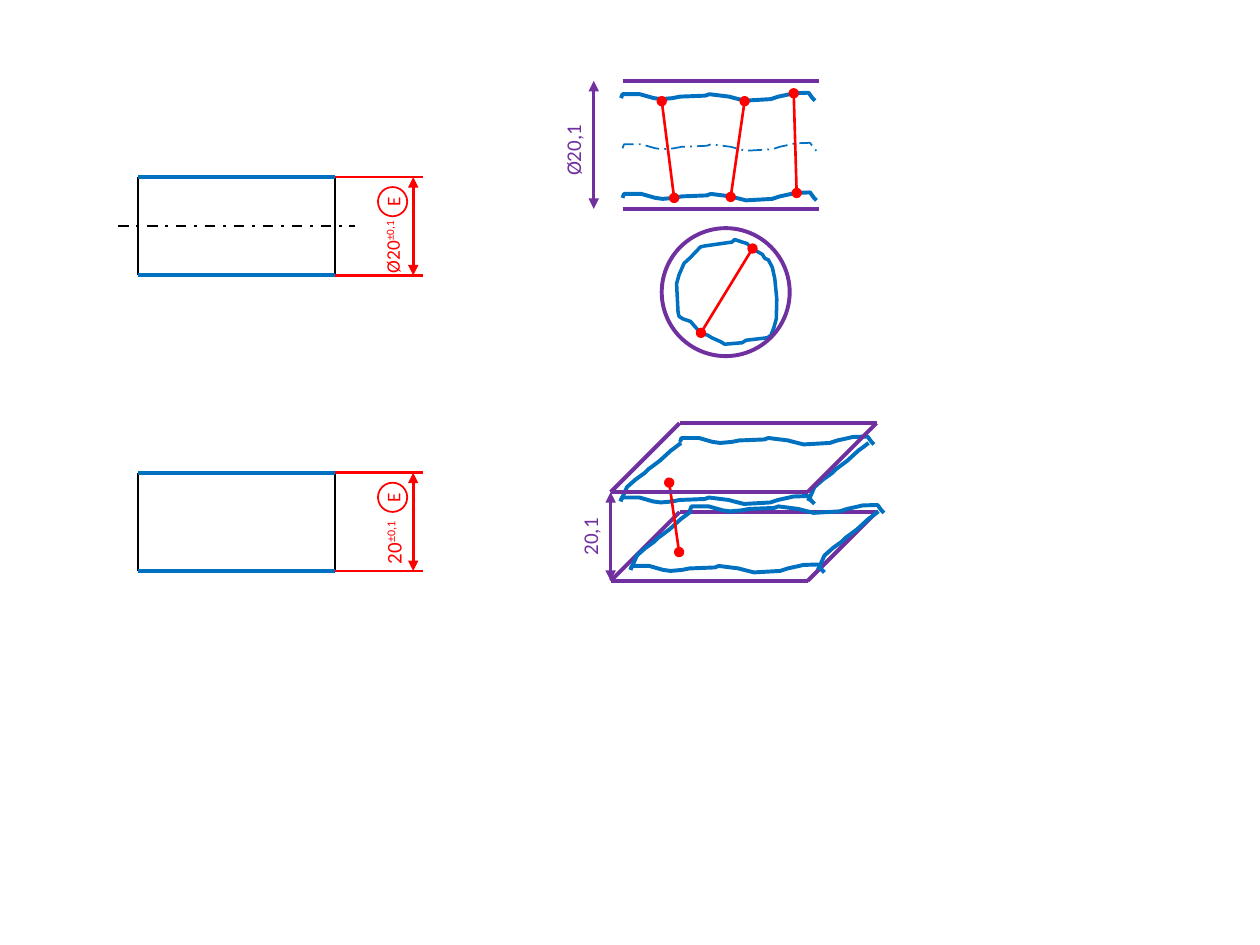
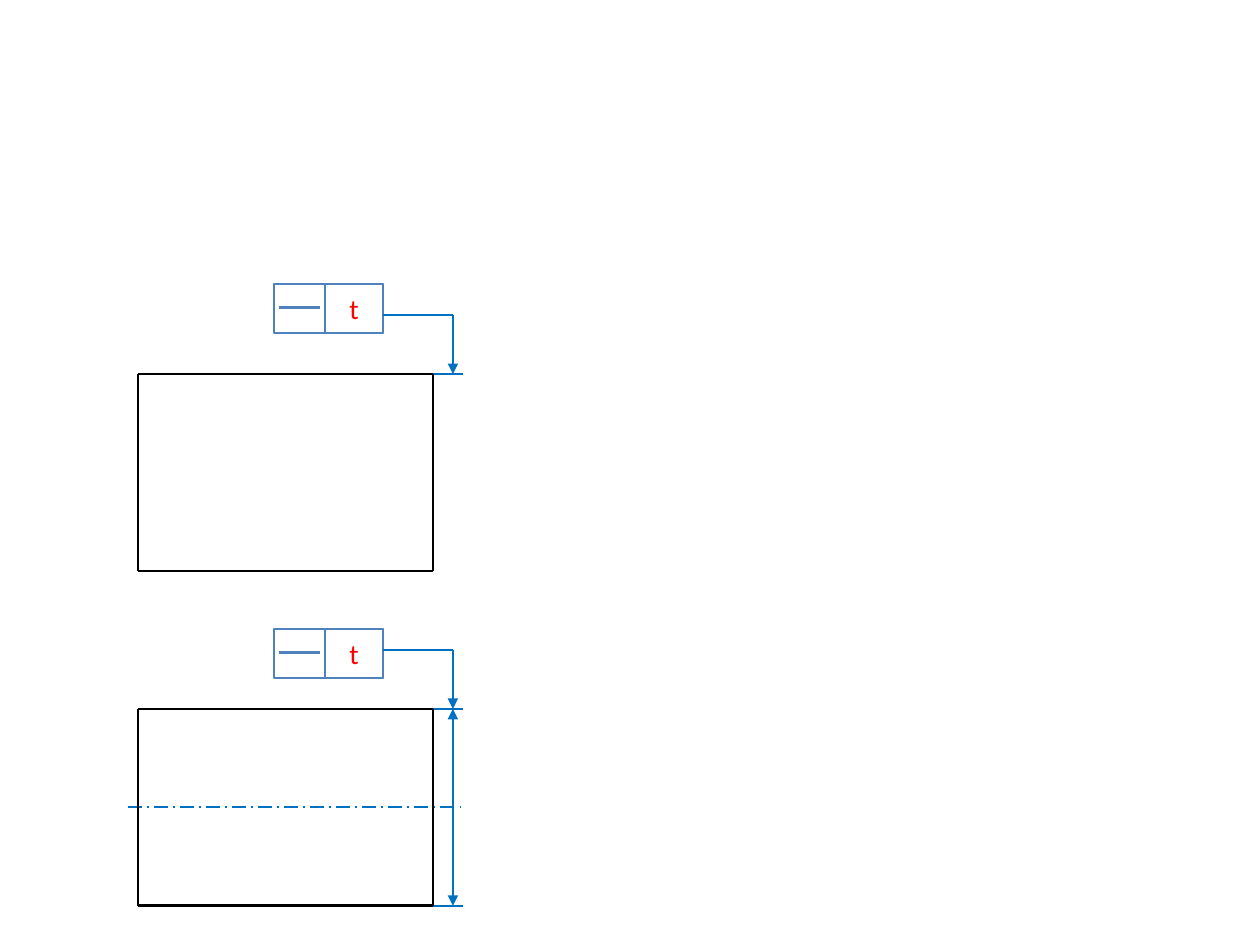
from lxml import etree
from pptx import Presentation
from pptx.dml.color import RGBColor
from pptx.enum.dml import MSO_LINE
from pptx.enum.shapes import MSO_CONNECTOR, MSO_SHAPE
from pptx.enum.text import MSO_ANCHOR, PP_ALIGN
from pptx.oxml.ns import qn
from pptx.util import Cm, Pt

STRAIGHT = MSO_CONNECTOR.STRAIGHT
OVAL, RECTANGLE = MSO_SHAPE.OVAL, MSO_SHAPE.RECTANGLE
DASH_DOT, LONG_DASH_DOT = MSO_LINE.DASH_DOT, MSO_LINE.LONG_DASH_DOT
CENTER, MIDDLE = PP_ALIGN.CENTER, MSO_ANCHOR.MIDDLE

BLACK = RGBColor(0x00, 0x00, 0x00)
RED = RGBColor(0xFF, 0x00, 0x00)
BLUE = RGBColor(0x00, 0x70, 0xC0)
PURPLE = RGBColor(0x70, 0x30, 0xA0)
FRAME_BLUE = RGBColor(0x4F, 0x81, 0xBD)
FONT = "Calibri"
THIN, MEDIUM, THICK = 1, 1.5, 2.25

# Rough contours in cm, relative to their own top left corner
WAVE = [(0, .18), (.03, .1), (.38, .1), (.66, .18), (.81, .2), (1.04, .18),
        (1.19, .15), (1.7, .13), (1.78, .1), (2.18, .15), (2.29, .18),
        (2.49, .23), (3.02, .2), (3.17, .15), (3.4, .1), (3.48, .08),
        (3.78, .07), (3.86, .18), (3.91, .23)]
SLOPE = [(0, 1.17), (.05, 1.07), (.13, .89), (.3, .74), (.48, .61),
         (.56, .53), (.63, .48), (.79, .36), (1.02, .15), (1.09, .1),
         (1.22, 0)]
RING = [(1.12, .05), (.56, .13), (.48, .15), (.28, .36), (.15, .48),
        (.05, .71), (0, .89), (.03, 1.47), (.05, 1.55), (.13, 1.6),
        (.28, 1.65), (.48, 1.88), (.63, 1.93), (.71, 1.98), (.89, 2.06),
        (.97, 2.11), (1.32, 2.08), (1.4, 2.03), (1.83, 1.98), (1.9, 1.93),
        (1.96, 1.78), (2.01, 1.6), (2.02, 1.2), (1.98, .79), (1.93, .56),
        (1.85, .41), (1.78, .38), (1.73, .3), (1.52, .18), (1.42, .08),
        (1.32, .05), (1.17, 0)]


def add_line(slide, start, end, color, width, ends=(None, None), dash=None):
    connector = slide.shapes.add_connector(
        STRAIGHT, Cm(start[0]), Cm(start[1]), Cm(end[0]), Cm(end[1]))
    connector.line.color.rgb = color
    connector.line.width = Pt(width)
    if dash:
        connector.line.dash_style = dash
    outline = connector.line._get_or_add_ln()
    for tag, kind in zip(("a:headEnd", "a:tailEnd"), ends):
        if kind:
            etree.SubElement(outline, qn(tag)).set("type", kind)
    etree.SubElement(connector._element.spPr, qn("a:effectLst"))


def add_dimension(slide, x, top, bottom, color, width):
    add_line(slide, (x, bottom), (x, top), color, width,
             ("triangle", "triangle"))


def add_probe(slide, left, top, start, end):
    """Two-point size: a red line with a dot at each end."""
    add_line(slide, (left + start[0], top + start[1]),
             (left + end[0], top + end[1]), RED, MEDIUM, ("oval", "oval"))


def style_outline(shape, color, width):
    shape.shadow.inherit = False
    shape.fill.background()
    shape.line.color.rgb = color
    shape.line.width = Pt(width)


def add_outline(slide, kind, left, top, width, height, color, line_width):
    shape = slide.shapes.add_shape(
        kind, Cm(left), Cm(top), Cm(width), Cm(height))
    style_outline(shape, color, line_width)
    return shape


def add_contour(slide, points, left, top, width=THICK, closed=False,
                dash=None):
    vertices = [(Cm(left + x), Cm(top + y)) for x, y in points]
    builder = slide.shapes.build_freeform(*vertices[0], scale=1.0)
    builder.add_line_segments(vertices[1:], close=closed)
    shape = builder.convert_to_shape()
    style_outline(shape, BLUE, width)
    if dash:
        shape.line.dash_style = dash


def write(shape, text, size, color, superscript=""):
    paragraph = shape.text_frame.paragraphs[0]
    paragraph.alignment = CENTER
    paragraph.font.name = FONT
    paragraph.font.size = Pt(size)
    paragraph.font.color.rgb = color
    paragraph.add_run().text = text
    if superscript:
        run = paragraph.add_run()
        run.text = superscript
        run._r.get_or_add_rPr().set("baseline", "30000")


def add_upright_text(slide, center_x, center_y, length, text, size, color,
                     superscript=""):
    height = 0.76
    box = slide.shapes.add_textbox(
        Cm(center_x - length / 2), Cm(center_y - height / 2),
        Cm(length), Cm(height))
    box.rotation = 270
    box.text_frame.word_wrap = True
    write(box, text, size, color, superscript)


def draw_toleranced_part(slide, left, top, text, size, length, axis=False):
    """Part in side view with its size, tolerance and envelope symbol."""
    width, height = 3.97, 1.98
    right, bottom = left + width, top + height
    for x in (left, right):
        add_line(slide, (x, bottom), (x, top), BLACK, MEDIUM)
    for y in (top, bottom):
        add_line(slide, (left, y), (right, y), BLUE, THICK)
        add_line(slide, (right, y), (right + 1.78, y), RED, MEDIUM)
    if axis:
        middle = top + height / 2
        add_line(slide, (left - .4, middle), (right + .4, middle), BLACK,
                 MEDIUM, dash=DASH_DOT)
    add_dimension(slide, right + 1.58, top, bottom, RED, MEDIUM)
    add_upright_text(slide, right + 1.18, top + 1.41, length, text, size, RED,
                     "±0,1")
    # Envelope symbol
    symbol = add_outline(slide, OVAL, right + .87, top + .2, .59, .59, RED,
                         THIN)
    symbol.rotation = 270
    frame = symbol.text_frame
    frame.margin_left = frame.margin_right = 0
    frame.margin_top = frame.margin_bottom = 0
    frame.vertical_anchor = MIDDLE
    write(symbol, "E", 11, RED)


def draw_cylinder_envelope(slide, left, top):
    """Rough cylinder inside its envelope: side view and cross section."""
    width, diameter = 3.97, 2.58
    # Side view
    add_contour(slide, WAVE, left - .03, top + .17)
    add_contour(slide, WAVE, left, top + 2.18)
    add_contour(slide, WAVE, left, top + 1.18, THIN, dash=LONG_DASH_DOT)
    for start, end in (((1.04, 2.36), (.79, .41)),
                       ((2.18, 2.34), (2.46, .41)),
                       ((3.51, 2.26), (3.45, .25))):
        add_probe(slide, left, top, start, end)
    for y in (top, top + diameter):
        add_line(slide, (left, y), (left + width, y), PURPLE, THICK)
    add_dimension(slide, left - .58, top, top + diameter, PURPLE, MEDIUM)
    add_upright_text(slide, left - 1, top + 1.4, 2.77, "Ø20,1", 12, PURPLE)
    # Cross section
    circle_left, circle_top = left + .79, top + 2.97
    add_contour(slide, RING, circle_left + .3, circle_top + .23, 2,
                closed=True)
    add_probe(slide, circle_left, circle_top, (.79, 2.11), (1.83, .41))
    add_outline(slide, OVAL, circle_left, circle_top, diameter, diameter,
                PURPLE, THICK)


def draw_plane(slide, left, top, width, depth):
    back, front = top, top + depth
    add_line(slide, (left, front), (left + width, front), PURPLE, THICK)
    add_line(slide, (left + depth, back), (left + depth + width, back),
             PURPLE, THICK)
    for x in (left, left + width):
        add_line(slide, (x + depth, back), (x, front), PURPLE, THICK)


def draw_rough_surface(slide, left, top):
    add_contour(slide, WAVE, left, top + 1.2)
    add_contour(slide, WAVE, left + 1.2, top)
    for x in (left, left + 3.78):
        add_contour(slide, SLOPE, x, top + .2)


def draw_plane_envelope(slide, left, top):
    """Two rough surfaces between two parallel planes."""
    width, depth, gap = 3.97, 1.39, 1.79
    draw_plane(slide, left, top + gap, width, depth)
    draw_rough_surface(slide, left + .2, top + .2)
    draw_rough_surface(slide, left + .4, top + gap - .21)
    add_probe(slide, left, top, (1.38, 2.6), (1.18, 1.2))
    draw_plane(slide, left, top, width, depth)
    add_dimension(slide, left, top + depth, top + depth + gap, PURPLE, MEDIUM)
    add_upright_text(slide, left - .42, top + 2.29, 1.78, "20,1", 12, PURPLE)


def draw_tolerance_frame(slide, left, top):
    """Straightness frame: symbol cell and value cell."""
    width, height, divider = 2.21, .99, 1.03
    value_left, value_width = left + divider, width - divider
    add_outline(slide, RECTANGLE, left, top, width, height, FRAME_BLUE, THIN)
    add_outline(slide, RECTANGLE, value_left, top, value_width, height,
                FRAME_BLUE, THIN)
    add_line(slide, (left + .1, top + .47), (left + .93, top + .47),
             FRAME_BLUE, MEDIUM)
    value = slide.shapes.add_textbox(
        Cm(value_left), Cm(top + .03), Cm(value_width), Cm(.94))
    value.text_frame.word_wrap = True
    write(value, "t", 16, RED)


def draw_straightness(slide, left, top, frame_rise, axis=False):
    """Part whose edge, or whose axis, carries a straightness tolerance."""
    width, height = 5.95, 3.97
    right, bottom = left + width, top + height
    arrow_x, leader_y = right + .4, top - 1.19
    # Extension lines and axis
    for y in (top, bottom) if axis else (top,):
        add_line(slide, (right + .6, y), (right - .4, y), BLUE, THIN)
    if axis:
        middle = top + height / 2
        add_line(slide, (left - .2, middle), (right + .6, middle), BLUE, THIN,
                 dash=LONG_DASH_DOT)
        add_dimension(slide, arrow_x, top, bottom, BLUE, THIN)
    # Outline of the part
    for y in (top, bottom):
        add_line(slide, (left, y), (right, y), BLACK, MEDIUM)
    for x in (left, right):
        add_line(slide, (x, bottom), (x, top), BLACK, MEDIUM)
    # Frame with its leader
    draw_tolerance_frame(slide, left + 2.74, top - frame_rise)
    add_line(slide, (arrow_x, leader_y), (left + 4.95, leader_y), BLUE, THIN)
    add_line(slide, (arrow_x, leader_y), (arrow_x, top), BLUE, THIN,
             (None, "triangle"))


presentation = Presentation()
presentation.slide_width, presentation.slide_height = Cm(25.4), Cm(19.05)
blank = presentation.slide_layouts[6]
PART_LEFT = 2.78

envelope_slide = presentation.slides.add_slide(blank)
draw_toleranced_part(envelope_slide, PART_LEFT, 3.57, "Ø20", 11, 3.17,
                     axis=True)
draw_toleranced_part(envelope_slide, PART_LEFT, 9.53, "20", 12, 2.77)
draw_cylinder_envelope(envelope_slide, 12.55, 1.63)
draw_plane_envelope(envelope_slide, 12.31, 8.53)

straightness_slide = presentation.slides.add_slide(blank)
draw_straightness(straightness_slide, PART_LEFT, 7.54, 1.81)
draw_straightness(straightness_slide, PART_LEFT, 14.29, 1.61, axis=True)

presentation.save("out.pptx")
